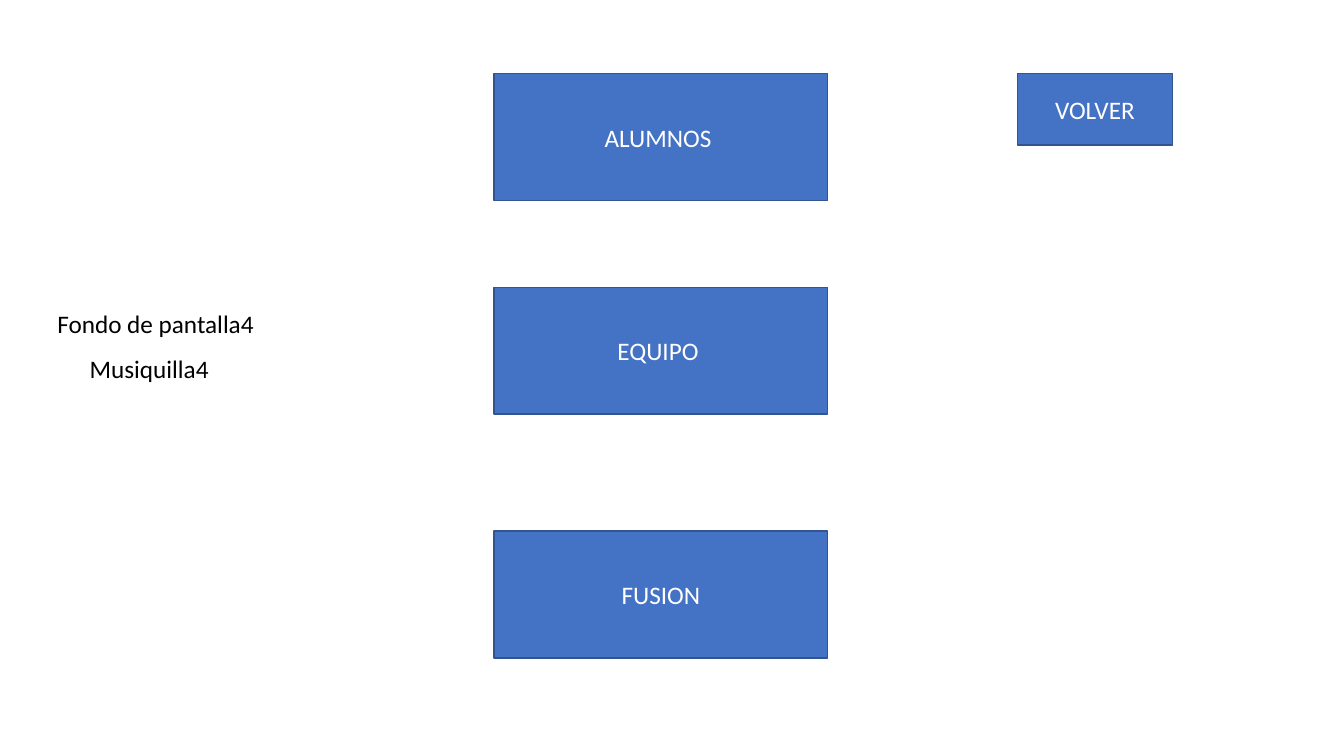
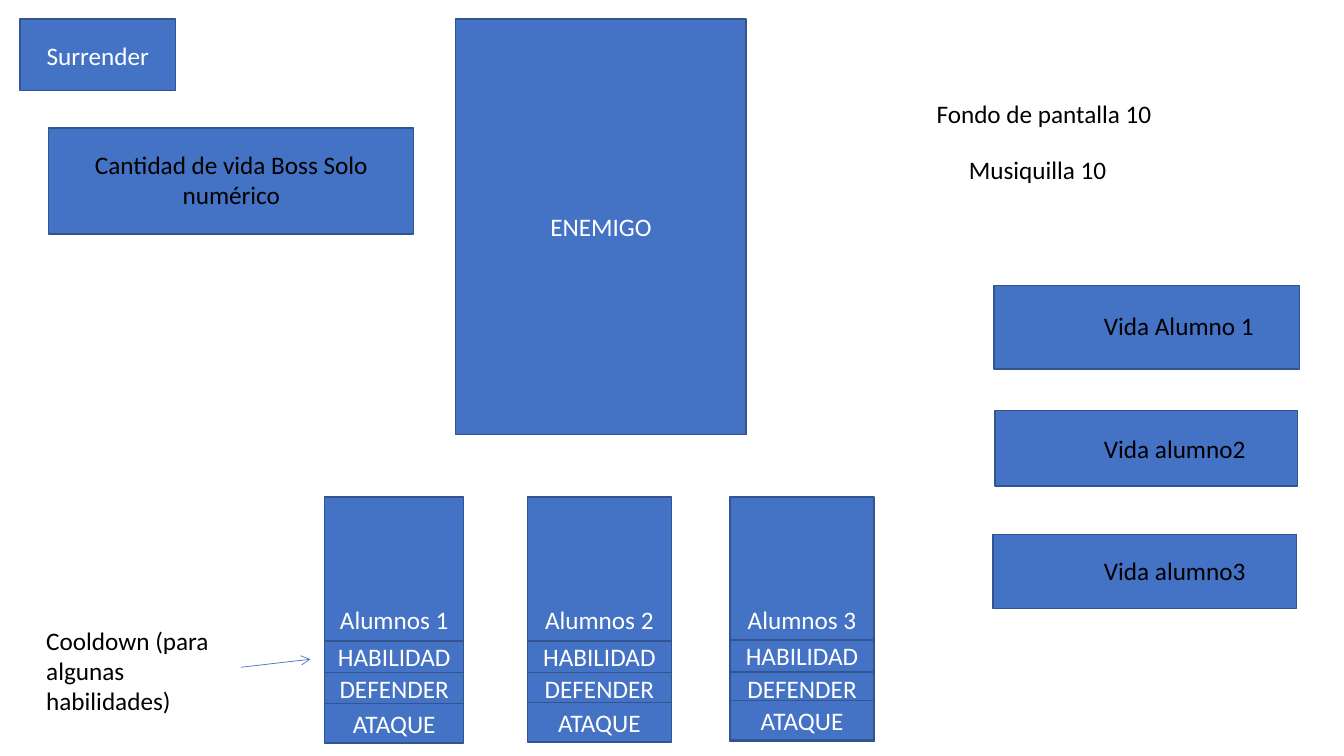
from lxml.etree import SubElement
from pptx import Presentation
from pptx.dml.color import RGBColor
from pptx.enum.shapes import MSO_CONNECTOR, MSO_SHAPE
from pptx.enum.text import MSO_ANCHOR, PP_ALIGN
from pptx.oxml.ns import qn
from pptx.util import Inches, Pt

BLUE = RGBColor(0x44, 0x72, 0xC4)
EDGE = RGBColor(0x32, 0x54, 0x91)
WHITE = RGBColor(0xFF, 0xFF, 0xFF)
BLACK = RGBColor(0x00, 0x00, 0x00)
FONT = "Calibri"
SIZE = 18
LINE_HEIGHT = 22  # points, one line of 18 pt text

# Every box is (left, top, width, height) in inches.
BUTTON_SIZE = (1.54, 0.71)
NOTE_SIZE = (2.65, 0.4)

MENU_LEFT, MENU_SIZE = 4.9, (3.31, 1.26)
MENU = [("ALUMNOS ", 0.73), ("EQUIPO ", 2.85), ("FUSION", 5.27)]
MENU_BUTTON = ("VOLVER", 10.09, 0.73)
MENU_NOTES = [("Musiquilla4", 0.79, 3.46), ("Fondo de pantalla4", 0.47, 3.01)]

ENEMY = ("ENEMIGO", (4.52, 0.19, 2.88, 4.12))
STUDENT_TOP, STUDENT_HEIGHT = 4.93, 2.43
STUDENTS = [
    # name, left, width, tops of the three actions
    ("Alumnos 1", 3.22, 1.38, (6.36, 6.67, 6.98)),
    ("Alumnos 2", 5.23, 1.43, (6.36, 6.67, 6.97)),
    ("Alumnos 3", 7.24, 1.43, (6.35, 6.67, 6.95)),
]
ACTIONS = [("HABILIDAD", 0.31), ("DEFENDER", 0.31), ("ATAQUE", 0.39)]
BATTLE_BUTTON = ("Surrender", 0.2, 0.19)
BOSS_BAR = (0.48, 1.27, 3.62, 1.05)
BOSS_LIFE = ("Cantidad de vida Boss Solo numérico", (0.78, 1.43, 3.03, 0.71))
LIFE_BARS = [(9.86, 2.83, 3.03, 0.83), (9.87, 4.07, 3, 0.75), (9.85, 5.3, 3.01, 0.74)]
LIFE_LABELS = ["Vida Alumno 1", "Vida alumno2", "Vida alumno3"]
LIFE_LABELS_BOX = (10.85, 3.03, 2.45, 2.83)
COOLDOWN = ("Cooldown (para algunas habilidades)", (0.36, 6.15, 1.91, 1.01))
COOLDOWN_ARROW = ((2.39, 6.62), (3.08, 6.54))
BATTLE_NOTES = [("Musiquilla 10", 9.51, 1.48), ("Fondo de pantalla 10", 9.19, 0.93)]


def write(shape, *lines, color=BLACK, align=PP_ALIGN.LEFT,
          anchor=MSO_ANCHOR.TOP, gap=0):
    """Fill a shape with one paragraph per line, gap points apart."""
    frame = shape.text_frame
    frame.word_wrap = True
    frame.vertical_anchor = anchor
    for index, line in enumerate(lines):
        paragraph = frame.paragraphs[0] if index == 0 else frame.add_paragraph()
        paragraph.alignment = align
        if index and gap:
            paragraph.space_before = Pt(gap)
        run = paragraph.add_run()
        run.text = line
        run.font.name = FONT
        run.font.size = Pt(SIZE)
        run.font.color.rgb = color


def add_box(slide, box, label=None):
    shape = slide.shapes.add_shape(MSO_SHAPE.RECTANGLE, *map(Inches, box))
    shape.shadow.inherit = False
    shape.fill.solid()
    shape.fill.fore_color.rgb = BLUE
    shape.line.color.rgb = EDGE
    shape.line.width = Pt(1)
    if label:
        write(shape, label, color=WHITE, align=PP_ALIGN.CENTER,
              anchor=MSO_ANCHOR.MIDDLE)


def add_label(slide, box, *lines, **style):
    write(slide.shapes.add_textbox(*map(Inches, box)), *lines, **style)


def add_button(slide, label, left, top):
    add_box(slide, (left, top, *BUTTON_SIZE), label)


def add_notes(slide, notes):
    for note, left, top in notes:
        add_label(slide, (left, top, *NOTE_SIZE), note)


def add_arrow(slide, start, end):
    arrow = slide.shapes.add_connector(
        MSO_CONNECTOR.STRAIGHT, *map(Inches, start + end))
    arrow.line.color.rgb = BLUE
    arrow.line.width = Pt(0.5)
    SubElement(arrow.line._get_or_add_ln(), qn("a:tailEnd"), type="arrow")
    SubElement(arrow._element.spPr, qn("a:effectLst"))


def build_menu(slide):
    for label, top in MENU:
        add_box(slide, (MENU_LEFT, top, *MENU_SIZE), label)
    add_button(slide, *MENU_BUTTON)
    add_notes(slide, MENU_NOTES)


def build_battle(slide):
    enemy, enemy_box = ENEMY
    add_box(slide, enemy_box, enemy)
    for student, left, width, tops in STUDENTS:
        add_box(slide, (left, STUDENT_TOP, width, STUDENT_HEIGHT), student)
        for (action, height), top in zip(ACTIONS, tops):
            add_box(slide, (left, top, width, height), action)
    add_button(slide, *BATTLE_BUTTON)

    add_box(slide, BOSS_BAR)
    boss_life, boss_life_box = BOSS_LIFE
    add_label(slide, boss_life_box, boss_life, align=PP_ALIGN.CENTER)
    for bar in LIFE_BARS:
        add_box(slide, bar)
    add_label(slide, LIFE_LABELS_BOX, *LIFE_LABELS, gap=3 * LINE_HEIGHT)

    cooldown, cooldown_box = COOLDOWN
    add_label(slide, cooldown_box, cooldown)
    add_arrow(slide, *COOLDOWN_ARROW)
    add_notes(slide, BATTLE_NOTES)


def main():
    deck = Presentation()
    deck.slide_width, deck.slide_height = Inches(13.33), Inches(7.5)
    blank = deck.slide_layouts[6]
    for build in (build_menu, build_battle):
        build(deck.slides.add_slide(blank))
    deck.save("out.pptx")


if __name__ == "__main__":
    main()
